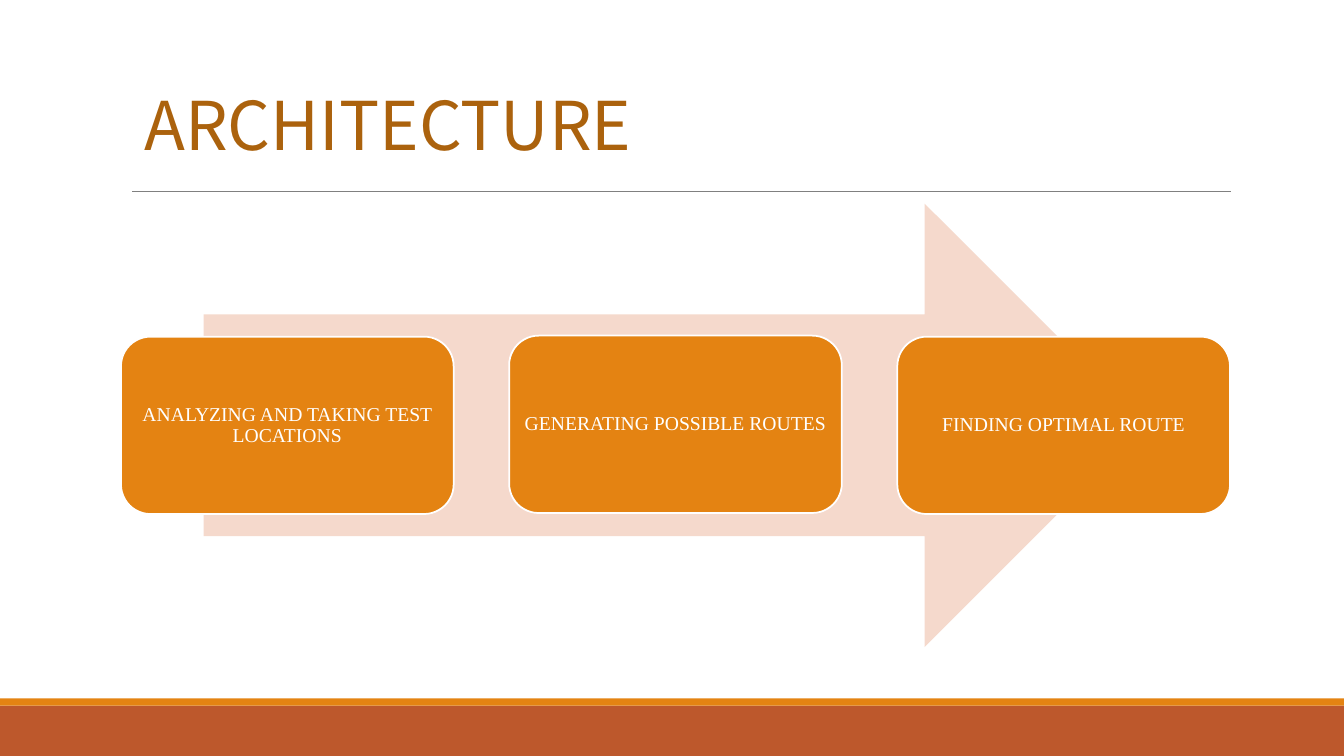
import pptx
import pptx.util
import pptx.dml.color
import pptx.enum.shapes
import pptx.enum.text
import pptx.oxml
from dataclasses import dataclass

Inches = pptx.util.Inches
Pt = pptx.util.Pt
RGB = pptx.dml.color.RGBColor.from_string
Shape = pptx.enum.shapes.MSO_SHAPE
Anchor = pptx.enum.text.MSO_ANCHOR
Align = pptx.enum.text.PP_ALIGN
Fit = pptx.enum.text.MSO_AUTO_SIZE


@dataclass(frozen=True)
class Theme:
    rust: str = "BD582C"
    amber: str = "E48312"
    brown: str = "AB620D"
    blush: str = "F5D9CC"
    gray: str = "808080"
    white: str = "FFFFFF"
    head: str = "Noto Sans CJK SC"
    body: str = "Times New Roman"
    big: int = 48
    small: int = 14


THEME = Theme()
STEPS = [
    ("ANALYZING AND TAKING TEST LOCATIONS", 3.34),
    ("GENERATING POSSIBLE ROUTES", 3.33),
    ("FINDING OPTIMAL ROUTE", 3.34),
]


def apply(item, values):
    """Set each named attribute of item."""
    for name, value in values.items():
        setattr(item, name, value)


def add_block(slide, kind, box, fill, line=None):
    """Add a flat preset shape, with an outline only if line is given."""
    block = slide.shapes.add_shape(kind, *map(Inches, box))
    block.shadow.inherit = False
    block.fill.solid()
    block.fill.fore_color.rgb = RGB(fill)
    if line:
        block.line.color.rgb = RGB(line)
        block.line.width = Pt(1.25)
    else:
        block.line.fill.background()
    return block


def write(shape, text, frame, para, font, color):
    """Put one formatted paragraph in the shape."""
    apply(shape.text_frame, frame)
    line = shape.text_frame.paragraphs[0]
    line.text = text
    apply(line, para)
    apply(line.runs[0].font, font)
    line.runs[0].font.color.rgb = RGB(color)


def add_title(slide, box):
    title = slide.shapes.title
    apply(title, dict(zip(("left", "top", "width", "height"), map(Inches, box))))
    write(title, "ARCHITECTURE",
          {"vertical_anchor": Anchor.TOP, "word_wrap": True,
           "auto_size": Fit.SHAPE_TO_FIT_TEXT},
          {"alignment": Align.LEFT},
          {"name": THEME.head, "size": Pt(THEME.big)}, THEME.brown)


def add_rule(slide, left, top, width):
    rule = slide.shapes.add_connector(
        pptx.enum.shapes.MSO_CONNECTOR.STRAIGHT,
        Inches(left), Inches(top), Inches(left + width), Inches(top))
    rule.line.color.rgb = RGB(THEME.gray)
    rule.line.width = Pt(0.5)
    rule._element.spPr.append(pptx.oxml.parse_xml(
        '<a:effectLst xmlns:a="http://schemas.openxmlformats.org/drawingml/2006/main"/>'))


def add_foot(slide, left, top, width, height):
    strip = 0.07
    add_block(slide, Shape.RECTANGLE,
              (left, top + strip, width, height - strip), THEME.rust)
    add_block(slide, Shape.RECTANGLE, (left, top, width, strip), THEME.amber)


def add_flow(slide, left, top, width, height):
    """Draw the wide arrow with the steps spread evenly across it."""
    add_block(slide, Shape.RIGHT_ARROW,
              (left + 0.82, top, 9.35, height), THEME.blush)
    wide, tall = 3.3, 1.76
    pitch = (width - wide) / (len(STEPS) - 1)
    inset = Inches(0.06)
    frame = {"word_wrap": True, "vertical_anchor": Anchor.MIDDLE}
    frame.update({"margin_" + side: inset
                  for side in ("left", "top", "right", "bottom")})
    for place, (text, y) in enumerate(STEPS):
        step = add_block(slide, Shape.ROUNDED_RECTANGLE,
                         (left + place * pitch, y, wide, tall),
                         THEME.amber, THEME.white)
        write(step, text, frame,
              {"alignment": Align.CENTER, "line_spacing": 0.9},
              {"name": THEME.body, "size": Pt(THEME.small)}, THEME.white)


def main():
    deck = pptx.Presentation()
    apply(deck, {"slide_width": Inches(13.33), "slide_height": Inches(7.5)})
    slide = deck.slides.add_slide(deck.slide_layouts.get_by_name("Title Only"))
    add_foot(slide, 0, 6.93, 13.33, 0.57)
    add_rule(slide, 1.31, 1.9, 10.9)
    add_flow(slide, 1.2, 2.02, 11, 4.4)
    add_title(slide, (1.33, 0.78, 7.65, 0.9))
    deck.save("out.pptx")


if __name__ == "__main__":
    main()
